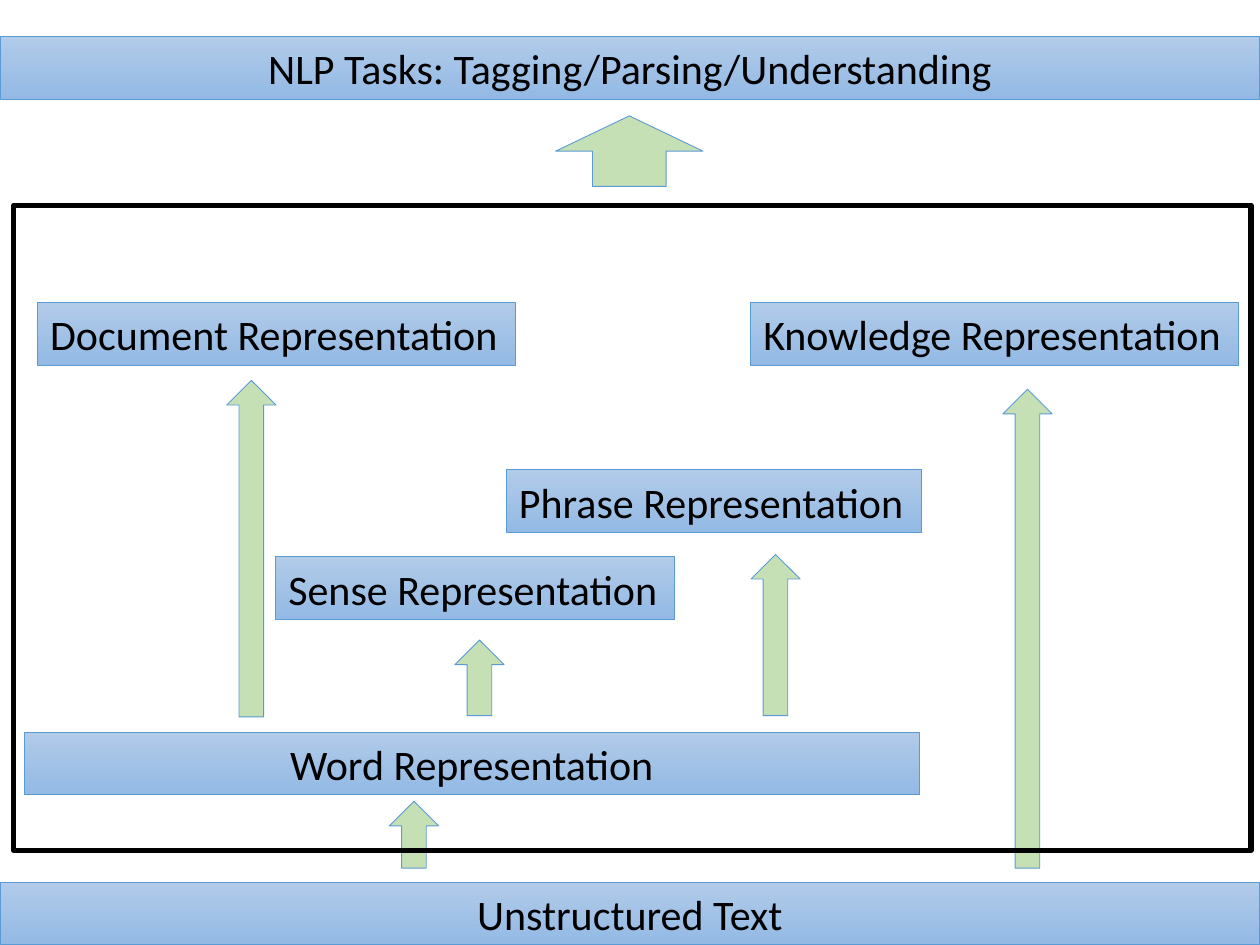
from typing import NamedTuple

import pptx
import pptx.dml.color
import pptx.enum.shapes
import pptx.enum.text
import pptx.util

Inches = pptx.util.Inches
Pt = pptx.util.Pt
Shapes = pptx.enum.shapes.MSO_SHAPE
Align = pptx.enum.text.PP_ALIGN

BOX_HEIGHT = 0.5
EDGE = "5B9BD5"
GRADIENT = ("B1CBE9", "93B9E4")
ARROW_FILL = "C5E0B4"


class Box(NamedTuple):
    text: str
    left: float
    top: float
    width: float
    align: Align = Align.JUSTIFY
    wrap: bool = True


class Arrow(NamedTuple):
    left: float
    top: float
    height: float
    width: float = 0.39


BOXES = [
    Box("NLP Tasks: Tagging/Parsing/Understanding", 0, 0.29, 10, Align.CENTER),
    Box("Document Representation", 0.3, 2.4, 3.79),
    Box("Knowledge Representation", 5.96, 2.4, 3.87, wrap=False),
    Box("Phrase Representation", 4.02, 3.73, 3.29, wrap=False),
    Box("Sense Representation", 2.19, 4.42, 3.16, wrap=False),
    Box("Word Representation", 0.19, 5.81, 7.11, Align.CENTER),
    Box("Unstructured Text", 0, 7, 10, Align.CENTER),
]
ARROWS = [
    Arrow(4.41, 0.92, 0.56, 1.17),
    Arrow(1.8, 3.02, 2.67),
    Arrow(3.61, 5.08, 0.6),
    Arrow(5.96, 4.4, 1.28),
    Arrow(3.09, 6.36, 0.53),
    Arrow(7.96, 3.09, 3.8),
]


def color(value: str) -> pptx.dml.color.RGBColor:
    return pptx.dml.color.RGBColor.from_string(value)


def add_outlined(page, kind, left: float, top: float, width: float,
                 height: float, line: str = EDGE, weight: float = 0.5):
    shape = page.shapes.add_shape(
        kind, Inches(left), Inches(top), Inches(width), Inches(height))
    shape.shadow.inherit = False
    shape.line.color.rgb = color(line)
    shape.line.width = Pt(weight)
    return shape


def draw_box(page, box: Box) -> None:
    shape = add_outlined(
        page, Shapes.RECTANGLE, box.left, box.top, box.width, BOX_HEIGHT)
    shape.fill.gradient()
    shape.fill.gradient_angle = 270
    for stop, value in zip(shape.fill.gradient_stops, GRADIENT):
        stop.color.rgb = color(value)
    frame = shape.text_frame
    frame.word_wrap = box.wrap
    frame.auto_size = pptx.enum.text.MSO_AUTO_SIZE.SHAPE_TO_FIT_TEXT
    para = frame.paragraphs[0]
    para.text = box.text
    para.alignment = box.align
    para.font.name = "Calibri"
    para.font.size = Pt(24)
    para.font.color.rgb = color("000000")


def draw_arrow(page, arrow: Arrow) -> None:
    shape = add_outlined(
        page, Shapes.UP_ARROW, arrow.left, arrow.top, arrow.width, arrow.height)
    shape.fill.solid()
    shape.fill.fore_color.rgb = color(ARROW_FILL)


def main() -> None:
    deck = pptx.Presentation()
    deck.slide_width = Inches(10)
    deck.slide_height = Inches(7.5)
    page = deck.slides.add_slide(deck.slide_layouts.get_by_name("Blank"))
    for box in BOXES:
        draw_box(page, box)
    for arrow in ARROWS:
        draw_arrow(page, arrow)
    border = add_outlined(
        page, Shapes.RECTANGLE, 0.11, 1.63, 9.82, 5.12, "000000", 3)
    border.fill.background()
    deck.save("out.pptx")


if __name__ == "__main__":
    main()
